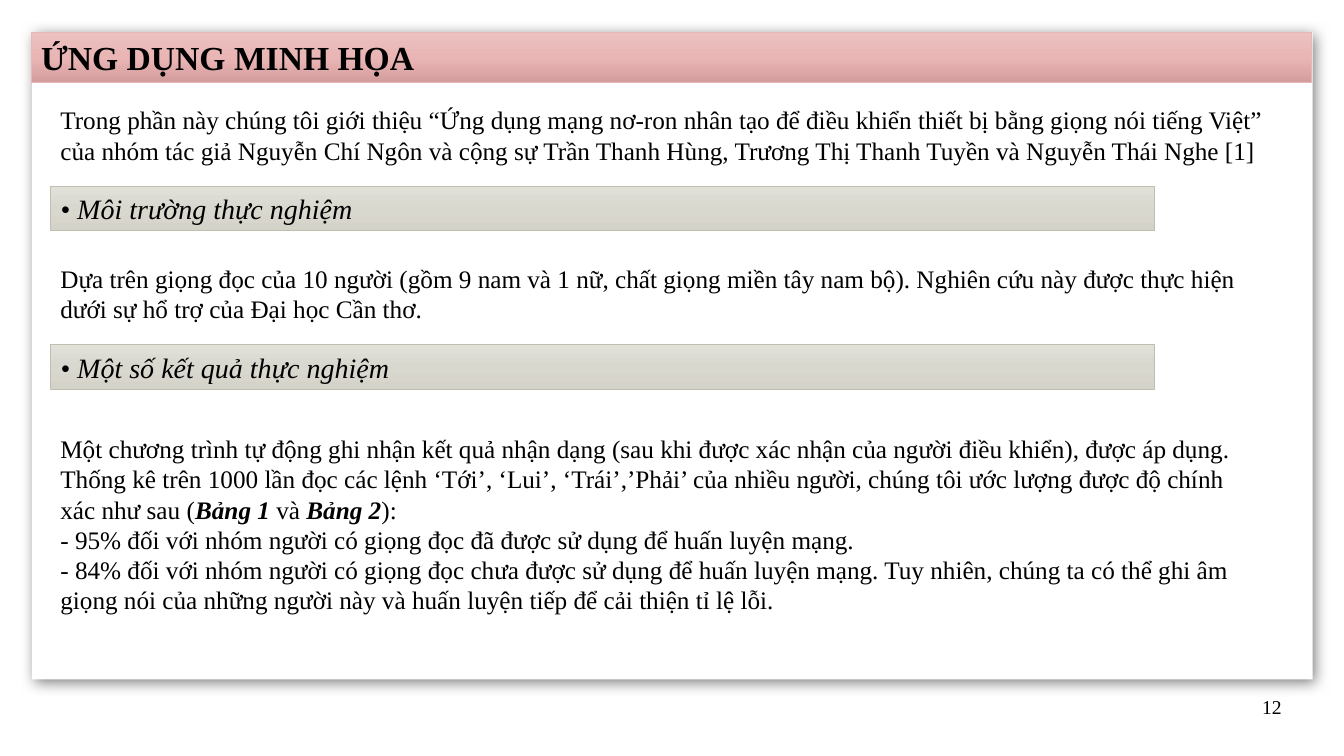
from lxml.etree import SubElement
from pptx import Presentation
from pptx.dml.color import RGBColor
from pptx.enum.shapes import MSO_SHAPE
from pptx.enum.text import MSO_ANCHOR, MSO_AUTO_SIZE, PP_ALIGN
from pptx.oxml.ns import qn
from pptx.util import Inches, Pt

FONT = "Times New Roman"
COLORS = {"text": "000000", "panel": "FFFFFF", "title_line": "E8B7B7", "heading_line": "C0BEAF"}
TITLE_GRADIENT = ("ECC1C1", "EAB5B5", "D49D9D")
HEADING_GRADIENT = ("E1E0D9", "D9D8CF", "D4D3C9")
LEFT = 0.5

INTRO = (
    "Trong phần này chúng tôi giới thiệu “Ứng dụng mạng nơ-ron nhân tạo để điều khiển "
    "thiết bị bằng giọng nói tiếng Việt” của nhóm tác giả Nguyễn Chí Ngôn và cộng sự "
    "Trần Thanh Hùng, Trương Thị Thanh Tuyền và Nguyễn Thái Nghe [1]"
)
ENVIRONMENT = (
    "Dựa trên giọng đọc của 10 người (gồm 9 nam và 1 nữ, chất giọng miền tây nam bộ). "
    "Nghiên cứu này được thực hiện dưới sự hổ trợ của Ðại học Cần thơ."
)
RESULTS = [
    [
        ("Một chương trình tự động ghi nhận kết quả nhận dạng (sau khi được xác nhận của "
         "người điều khiển), được áp dụng. Thống kê trên 1000 lần đọc các lệnh ‘Tới’, ‘Lui’, "
         "‘Trái’,’Phải’ của nhiều người, chúng tôi ước lượng được độ chính xác như sau (", False),
        ("Bảng 1", True),
        (" và ", False),
        ("Bảng 2", True),
        ("):", False),
    ],
    [("- 95% đối với nhóm người có giọng đọc đã được sử dụng để huấn luyện mạng.", False)],
    [("- 84% đối với nhóm người có giọng đọc chưa được sử dụng để huấn luyện mạng. "
      "Tuy nhiên, chúng ta có thể ghi âm giọng nói của những người này và huấn luyện "
      "tiếp để cải thiện tỉ lệ lỗi.", False)],
]


def set_font(paragraph, size, bold=None, italic=None):
    paragraph.alignment = PP_ALIGN.LEFT
    font = paragraph.font
    font.name, font.size, font.bold, font.italic = FONT, Pt(size), bold, italic
    font.color.rgb = RGBColor.from_string(COLORS["text"])


def add_rectangle(slide, left, top, width, height):
    shape = slide.shapes.add_shape(
        MSO_SHAPE.RECTANGLE, Inches(left), Inches(top), Inches(width), Inches(height))
    shape.shadow.inherit = False
    return shape


def add_panel(slide, left, top, width, height):
    panel = add_rectangle(slide, left, top, width, height)
    panel.fill.solid()
    panel.fill.fore_color.rgb = RGBColor.from_string(COLORS["panel"])
    panel.line.fill.background()
    effects = panel.element.spPr.find(qn("a:effectLst"))
    shadow = SubElement(effects, qn("a:outerShdw"), blurRad=str(Pt(10)), dist=str(Pt(3)),
                        dir="2700000", algn="tl", rotWithShape="0")
    color = SubElement(shadow, qn("a:srgbClr"), val="000000")
    SubElement(color, qn("a:alpha"), val="50000")


def fill_gradient(shape, colors):
    shape.fill.gradient()
    shape.fill.gradient_angle = 270
    stops = shape.element.spPr.find(qn("a:gradFill")).find(qn("a:gsLst"))
    for stop in list(stops):
        stops.remove(stop)
    for index, color in enumerate(colors):
        stop = SubElement(stops, qn("a:gs"), pos=str(index * 50000))
        SubElement(stop, qn("a:srgbClr"), val=color)


def add_bar(slide, box, text, gradient, line, size, bold=None, italic=None):
    bar = add_rectangle(slide, *box)
    fill_gradient(bar, gradient)
    bar.line.color.rgb = RGBColor.from_string(COLORS[line])
    bar.line.width = Pt(0.5)
    frame = bar.text_frame
    frame.word_wrap = True
    frame.auto_size = MSO_AUTO_SIZE.SHAPE_TO_FIT_TEXT
    frame.vertical_anchor = MSO_ANCHOR.MIDDLE
    frame.text = text
    set_font(frame.paragraphs[0], size, bold, italic)


def add_heading(slide, top, text):
    add_bar(slide, (LEFT, top, 10.95, 0.44), text, HEADING_GRADIENT, "heading_line", 20, italic=True)


def add_text(slide, left, top, width, height, paragraphs, size=18):
    box = slide.shapes.add_textbox(Inches(left), Inches(top), Inches(width), Inches(height))
    frame = box.text_frame
    frame.word_wrap = True
    frame.auto_size = MSO_AUTO_SIZE.SHAPE_TO_FIT_TEXT
    for index, runs in enumerate(paragraphs):
        paragraph = frame.add_paragraph() if index else frame.paragraphs[0]
        set_font(paragraph, size)
        for text, emphasis in runs:
            run = paragraph.add_run()
            run.text = text
            if emphasis:
                run.font.bold = run.font.italic = True


def main():
    presentation = Presentation()
    presentation.slide_width = Inches(13.33)
    presentation.slide_height = Inches(7.5)
    slide = presentation.slides.add_slide(presentation.slide_layouts[6])

    add_panel(slide, 0.32, 0.32, 12.7, 6.42)
    add_bar(slide, (0.31, 0.32, 12.7, 0.5), "ỨNG DỤNG MINH HỌA",
            TITLE_GRADIENT, "title_line", 24, bold=True)
    add_text(slide, LEFT, 0.99, 12.32, 0.71, [[(INTRO, False)]])
    add_heading(slide, 1.85, "• Môi trường thực nghiệm")
    add_text(slide, LEFT, 2.56, 12.31, 0.71, [[(ENVIRONMENT, False)]])
    add_heading(slide, 3.42, "• Một số kết quả thực nghiệm")
    add_text(slide, LEFT, 4.25, 11.92, 1.92, RESULTS)
    add_text(slide, 12.42, 6.84, 0.51, 0.34, [[("12", False)]], size=14)

    presentation.save("out.pptx")


if __name__ == "__main__":
    main()
